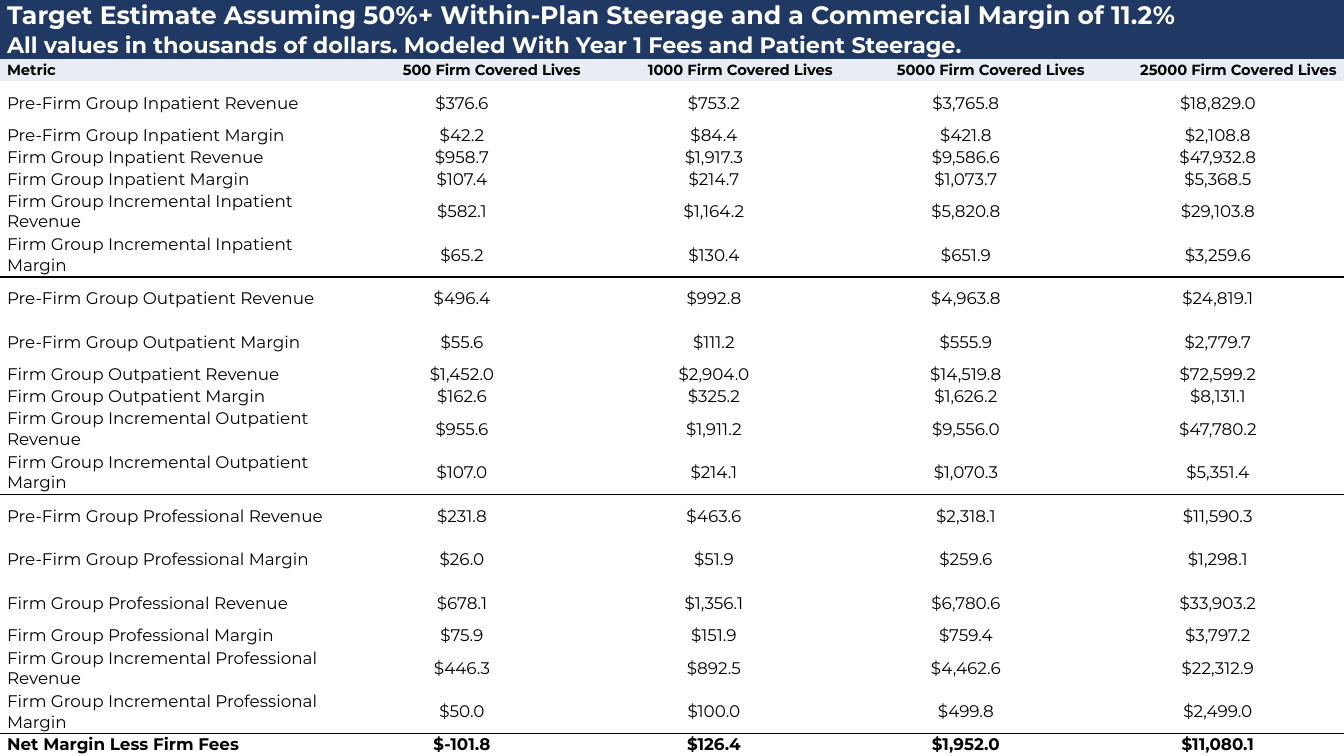
import pptx
import pptx.dml.color
import pptx.enum.text
import pptx.oxml
import pptx.oxml.ns
import pptx.util

WIDE = pptx.util.Inches(13.333)
HIGH = pptx.util.Inches(7.5)
PAD = pptx.util.Inches(0.07)
FONT = "Montserrat"
PLAIN = "{2D5ABB26-0587-4C30-8999-92F81FD0307C}"
NAVY, PALE, WHITE, BLACK = "203864", "E7ECF5", "FFFFFF", "000000"
LEFT = pptx.enum.text.PP_ALIGN.LEFT
MID = pptx.enum.text.PP_ALIGN.CENTER
RIGHT = pptx.enum.text.PP_ALIGN.RIGHT

COLS = [4 / 16] + [3 / 16] * 4
BANDS = [
    ("Target Estimate Assuming 50%+ Within-Plan Steerage and a Commercial Margin of 11.2%", 18, 0.31),
    ("All values in thousands of dollars. Modeled With Year 1 Fees and Patient Steerage.", 16, 0.28),
]
HEADS = ["Metric"] + [f"{n} Firm Covered Lives" for n in (500, 1000, 5000, 25000)]
STEPS = [
    f"{group} {{}} {kind}"
    for group in ("Pre-Firm Group", "Firm Group", "Firm Group Incremental")
    for kind in ("Revenue", "Margin")
]
PARTS = {
    "Inpatient": [
        (2, "$376.6", "$753.2", "$3,765.8", "$18,829.0"),
        (1, "$42.2", "$84.4", "$421.8", "$2,108.8"),
        (1, "$958.7", "$1,917.3", "$9,586.6", "$47,932.8"),
        (1, "$107.4", "$214.7", "$1,073.7", "$5,368.5"),
        (2, "$582.1", "$1,164.2", "$5,820.8", "$29,103.8"),
        (2, "$65.2", "$130.4", "$651.9", "$3,259.6"),
    ],
    "Outpatient": [
        (2, "$496.4", "$992.8", "$4,963.8", "$24,819.1"),
        (2, "$55.6", "$111.2", "$555.9", "$2,779.7"),
        (1, "$1,452.0", "$2,904.0", "$14,519.8", "$72,599.2"),
        (1, "$162.6", "$325.2", "$1,626.2", "$8,131.1"),
        (2, "$955.6", "$1,911.2", "$9,556.0", "$47,780.2"),
        (2, "$107.0", "$214.1", "$1,070.3", "$5,351.4"),
    ],
    "Professional": [
        (2, "$231.8", "$463.6", "$2,318.1", "$11,590.3"),
        (2, "$26.0", "$51.9", "$259.6", "$1,298.1"),
        (2, "$678.1", "$1,356.1", "$6,780.6", "$33,903.2"),
        (1, "$75.9", "$151.9", "$759.4", "$3,797.2"),
        (2, "$446.3", "$892.5", "$4,462.6", "$22,312.9"),
        (2, "$50.0", "$100.0", "$499.8", "$2,499.0"),
    ],
}
TOTAL = ["Net Margin Less Firm Fees", "$-101.8", "$126.4", "$1,952.0", "$11,080.1"]


def tint(code):
    return pptx.dml.color.RGBColor.from_string(code)


def rule(cell, side):
    ink = f'<a:solidFill><a:srgbClr val="{BLACK}"/></a:solidFill>'
    for edge in ("lnL", "lnR", "lnT", "lnB"):
        line = pptx.oxml.parse_xml(
            f'<a:{edge} {pptx.oxml.ns.nsdecls("a")} w="12700">'
            f'{ink if edge == side else "<a:noFill/>"}</a:{edge}>'
        )
        cell._tc.get_or_add_tcPr().append(line)


def paint(cell, fill):
    if fill:
        cell.fill.solid()
        cell.fill.fore_color.rgb = tint(fill)
    else:
        cell.fill.background()


def write(cell, text, size=12, bold=False, ink=BLACK, align=LEFT):
    cell.margin_left = cell.margin_right = cell.margin_top = cell.margin_bottom = 0
    cell.vertical_anchor = pptx.enum.text.MSO_ANCHOR.MIDDLE
    para = cell.text_frame.paragraphs[0]
    para.alignment = align
    for edge in ("marL", "marR"):
        para._p.get_or_add_pPr().set(edge, str(int(PAD)))
    run = para.add_run()
    run.text = text
    run.font.name = FONT
    run.font.size = pptx.util.Pt(size)
    run.font.bold = bold
    run.font.color.rgb = tint(ink)


def band(grid, row, text, size):
    first = grid.cell(row, 0)
    first.merge(grid.cell(row, len(COLS) - 1))
    for col in range(len(COLS)):
        paint(grid.cell(row, col), NAVY)
    write(first, text, size=size, bold=True, ink=WHITE)


def fill_row(grid, row, texts, align, fill=None, side=None, **form):
    for col, text in enumerate(texts):
        cell = grid.cell(row, col)
        write(cell, text, align=align if col else LEFT, **form)
        rule(cell, side)
        paint(cell, fill)


def add_grid(slide, count):
    frame = slide.shapes.add_table(count, len(COLS), 0, 0, WIDE, HIGH)
    grid = frame.table
    grid.first_row = grid.horz_banding = False
    style = grid._tbl.tblPr.find(pptx.oxml.ns.qn("a:tableStyleId"))
    style.text = PLAIN
    for col, share in zip(grid.columns, COLS):
        col.width = int(WIDE * share)
    return grid


def set_rows(grid, units):
    tops = [pptx.util.Inches(high) for _, _, high in BANDS]
    unit = (HIGH - sum(tops)) / sum(units)
    highs = tops + [unit * n for n in units]
    for row, high in zip(grid.rows, highs):
        row.height = int(high)


def main():
    deck = pptx.Presentation()
    deck.slide_width, deck.slide_height = WIDE, HIGH
    slide = deck.slides.add_slide(deck.slide_layouts[6])

    body = []
    units = [1]
    for part, lines in PARTS.items():
        for step, (unit, *vals) in zip(STEPS, lines):
            body.append([step.format(part), *vals])
            units.append(unit)
    units.append(1)

    head = len(BANDS)
    grid = add_grid(slide, head + len(units))
    set_rows(grid, units)
    for row, (text, size, _) in enumerate(BANDS):
        band(grid, row, text, size)
    fill_row(grid, head, HEADS, RIGHT, fill=PALE, size=10.5, bold=True)
    for pos, texts in enumerate(body):
        place = pos % len(STEPS)
        side = None
        if place == len(STEPS) - 1:
            side = "lnB"
        elif place == 0 and pos:
            side = "lnT"
        fill_row(grid, head + 1 + pos, texts, MID, side=side)
    fill_row(grid, head + 1 + len(body), TOTAL, MID, side="lnT", bold=True)
    deck.save("out.pptx")


if __name__ == "__main__":
    main()
